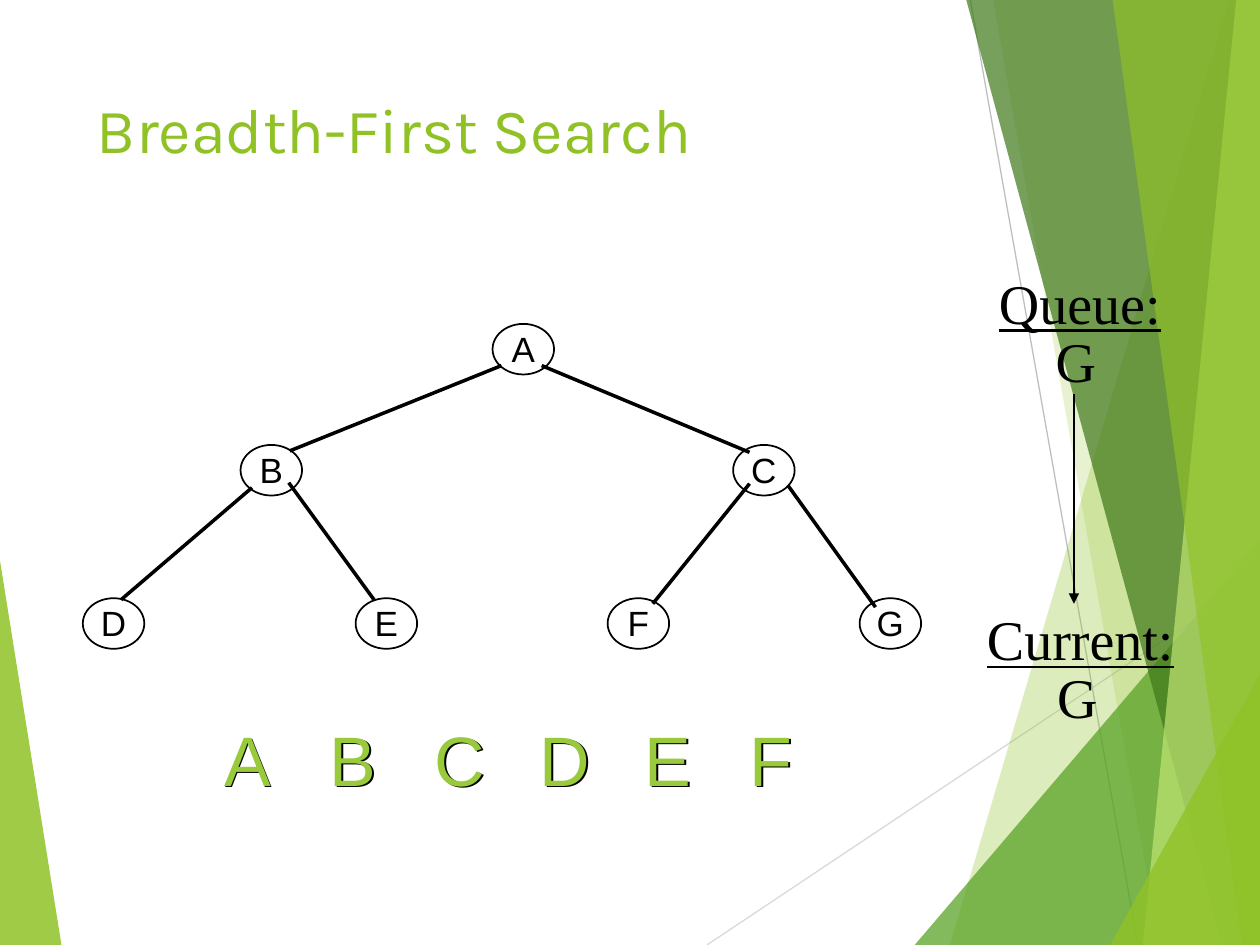
from lxml import etree
from pptx import Presentation
from pptx.dml.color import RGBColor
from pptx.enum.shapes import MSO_CONNECTOR, MSO_SHAPE
from pptx.enum.text import MSO_ANCHOR, MSO_AUTO_SIZE, PP_ALIGN
from pptx.oxml.ns import qn
from pptx.util import Cm, Pt

LEFT, CENTER = PP_ALIGN.LEFT, PP_ALIGN.CENTER
TOP = MSO_ANCHOR.TOP
NO_FIT, GROW = MSO_AUTO_SIZE.NONE, MSO_AUTO_SIZE.SHAPE_TO_FIT_TEXT
OVAL = MSO_SHAPE.OVAL
STRAIGHT = MSO_CONNECTOR.STRAIGHT
WIDTH, HEIGHT = 25.4, 19.05
TITLE_ONLY = 5


def color(value):
    return RGBColor.from_string(value)


def add_xml(parent, tag, **attributes):
    return etree.SubElement(parent, qn(tag), attributes)


def write_text(frame, text, size=20, font="Arial", fill="000000", align=CENTER,
               underline=False, wrap=False, fit=GROW, tab=None):
    frame.word_wrap = wrap
    frame.auto_size = fit
    frame.vertical_anchor = TOP
    para = frame.paragraphs[0]
    para.alignment = align
    span = para.add_run()
    span.text = text
    span.font.size = Pt(size)
    span.font.name = font
    span.font.underline = underline
    span.font.color.rgb = color(fill)
    if tab:
        stops = add_xml(para._p.get_or_add_pPr(), "a:tabLst")
        for number in range(1, text.count("\t") + 1):
            add_xml(stops, "a:tab", pos=str(Cm(tab * number)), algn="l")


class SlideBuilder:
    ink = "000000"
    paper = "FFFFFF"
    green = "90C226"
    node_width, node_height = 1.24, 1.02
    label_width, label_height = 1.1, 1.12

    def __init__(self, slide):
        self.slide = slide
        self.shapes = slide.shapes

    def title(self, text, left, top, width, height):
        title = self.shapes.title
        title.left, title.top = Cm(left), Cm(top)
        title.width, title.height = Cm(width), Cm(height)
        write_text(title.text_frame, text, size=36, font="Karla",
                   fill=self.green, align=LEFT, wrap=True, fit=NO_FIT)

    def polygon(self, points, fill, opacity):
        corners = [(Cm(x), Cm(y)) for x, y in points]
        builder = self.shapes.build_freeform(*corners[0])
        builder.add_line_segments(corners[1:], close=True)
        shape = builder.convert_to_shape()
        shape.shadow.inherit = False
        shape.fill.solid()
        shape.fill.fore_color.rgb = color(fill)
        shape.line.fill.background()
        paint = shape._element.spPr.find(qn("a:solidFill"))[0]
        add_xml(paint, "a:alpha", val=str(opacity * 1000))

    def band(self, top_x, bottom_x, fill, opacity):
        self.polygon([(top_x, 0), (bottom_x, HEIGHT), (WIDTH, HEIGHT), (WIDTH, 0)],
                     fill, opacity)

    def corner(self, left, top, fill, opacity):
        self.polygon([(left, HEIGHT), (WIDTH, top), (WIDTH, HEIGHT)], fill, opacity)

    def line(self, start, end, stroke=ink, weight=2, arrow=False):
        line = self.shapes.add_connector(STRAIGHT, *map(Cm, start + end))
        line.line.color.rgb = color(stroke)
        line.line.width = Pt(weight)
        if arrow:
            add_xml(line.line._get_or_add_ln(), "a:tailEnd", type="triangle")
        add_xml(line._element.spPr, "a:effectLst")

    def text(self, text, left, top, width, height, shadow=False, **style):
        box = self.shapes.add_textbox(Cm(left), Cm(top), Cm(width), Cm(height))
        write_text(box.text_frame, text, **style)
        if shadow:
            effects = add_xml(box._element.spPr, "a:effectLst")
            outer = add_xml(effects, "a:outerShdw", dist="17961", dir="2700000")
            add_xml(outer, "a:srgbClr", val=self.ink)

    def node(self, name, x, y):
        oval = self.shapes.add_shape(
            OVAL, Cm(x - self.node_width / 2), Cm(y - self.node_height / 2),
            Cm(self.node_width), Cm(self.node_height))
        oval.shadow.inherit = False
        oval.fill.solid()
        oval.fill.fore_color.rgb = color(self.paper)
        oval.line.color.rgb = color(self.ink)
        oval.line.width = Pt(1)
        self.text(name, x - self.label_width / 2, y - self.label_height / 2,
                  self.label_width, self.label_height)


deck = Presentation()
deck.slide_width, deck.slide_height = Cm(WIDTH), Cm(HEIGHT)
page = SlideBuilder(deck.slides.add_slide(deck.slide_layouts[TITLE_ONLY]))

page.polygon([(0, 11.3), (1.24, HEIGHT), (0, HEIGHT)], page.green, 85)
page.line((14.25, HEIGHT), (WIDTH, 11.61), "D9D9D9", 0.75)
page.line((19.56, 0), (22.94, HEIGHT), "BFBFBF", 0.75)
page.band(24.77, 19.15, page.green, 30)
page.band(20.02, 23.37, page.green, 20)
page.corner(18.44, 10.9, "54A021", 72)
page.band(19.48, 24.64, "3F7819", 70)
page.band(24.92, 23.04, "C0E474", 70)
page.band(22.43, 25.04, page.green, 65)
page.corner(22.38, 13.59, page.green, 80)

page.title("Breadth-First Search", 1.7, 1.7, 17.63, 3.66)

TREE_LEVELS = [
    (7.04, {"A": 10.55}),
    (9.48, {"B": 5.47, "C": 15.4}),
    (12.57, {"D": 2.29, "E": 7.79, "F": 12.87, "G": 17.95}),
]
for y, nodes in TREE_LEVELS:
    for name, x in nodes.items():
        page.node(name, x, y)

TREE_EDGES = [
    ((10.11, 7.37), (5.84, 9.09)),
    ((10.92, 7.37), (15.11, 9.12)),
    ((5.08, 9.83), (2.44, 12.09)),
    ((15.11, 9.75), (13.16, 12.17)),
    ((15.88, 9.78), (17.65, 12.24)),
    ((5.82, 9.73), (7.54, 12.09)),
]
for start, end in TREE_EDGES:
    page.line(start, end)

SERIF = {"size": 32, "font": "Times New Roman"}
page.text("Queue:", 19.77, 5.28, 4, 1.6, underline=True, **SERIF)
page.text("Current:", 19.53, 12.07, 4.5, 1.6, underline=True, **SERIF)
page.text("G", 21.01, 13.23, 1.42, 1.6, **SERIF)
page.text("G", 20.98, 6.45, 1.42, 1.6, **SERIF)
page.line((21.65, 7.95), (21.65, 12.17), weight=1, arrow=True)

page.text("\t".join("ABCDEF"), 4.27, 14.31, 12.3, 1.93, size=40, fill="99CA3C",
          align=LEFT, wrap=True, tab=2.12, shadow=True)

deck.save("out.pptx")
